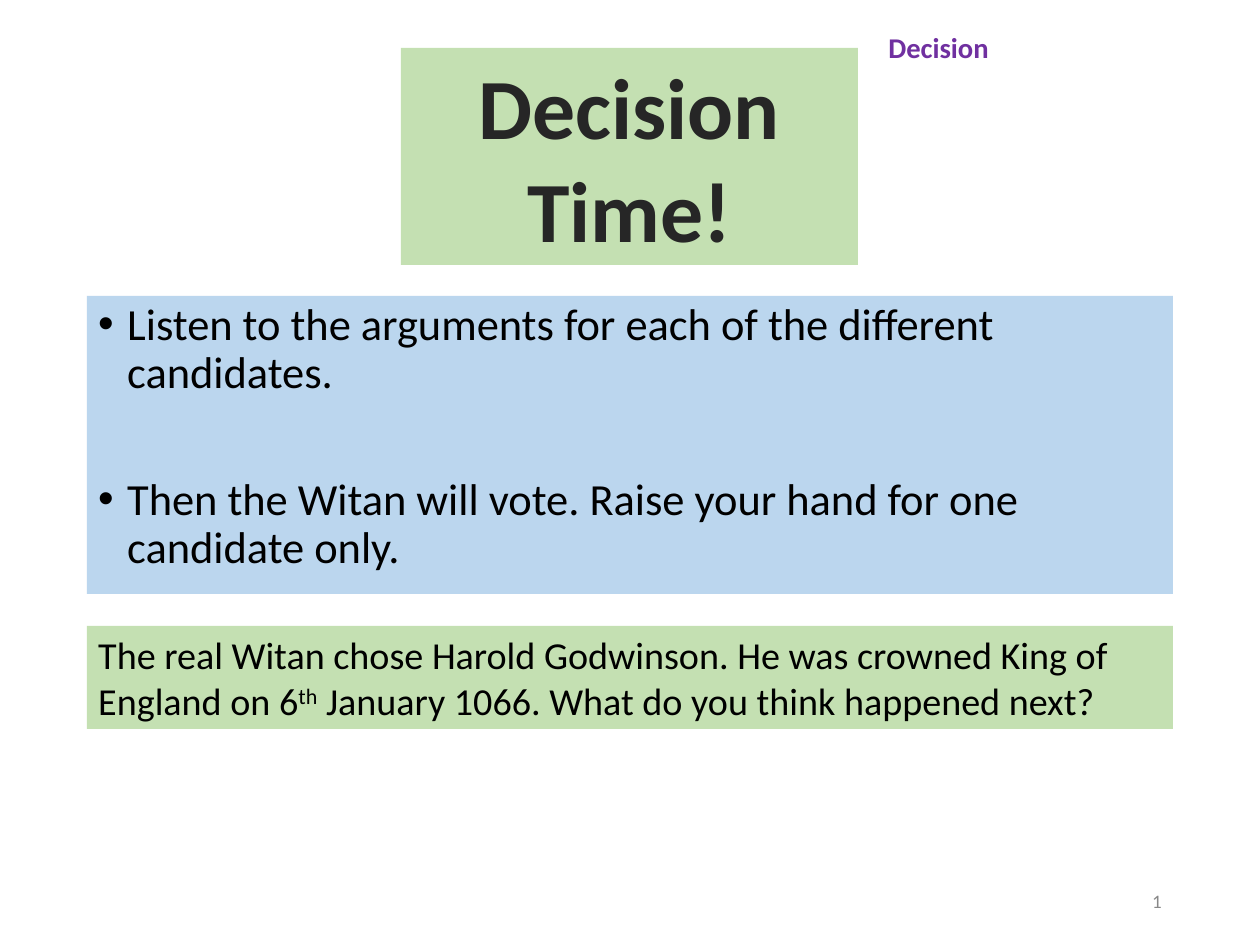
from dataclasses import dataclass
from typing import Optional

from lxml import etree
from pptx import Presentation
from pptx import util as u
from pptx.dml import color
from pptx.enum import shapes, text
from pptx.oxml import ns

PX = 8000
SLIDE_WIDTH, SLIDE_HEIGHT = 1260, 945


@dataclass(frozen=True)
class Theme:
    font: str = "Calibri"
    green: str = "C4E0B2"
    blue: str = "BBD6EE"
    black: str = "000000"
    charcoal: str = "262626"
    purple: str = "7030A0"
    grey: str = "888888"
    title: int = 54
    body: int = 28
    note: int = 24
    label: int = 18
    number: int = 12


THEME = Theme()


@dataclass(frozen=True)
class Panel:
    left: int
    top: int
    width: int
    height: int
    paragraphs: tuple[tuple[str, ...], ...]
    size: int
    ink: str
    fill: Optional[str] = None
    bold: bool = False
    align: text.PP_ALIGN = text.PP_ALIGN.LEFT
    anchor: text.MSO_ANCHOR = text.MSO_ANCHOR.TOP
    bulleted: bool = False


MARGIN = 87
CONTENT_WIDTH = SLIDE_WIDTH - 2 * MARGIN
BULLET_INDENT = 29
BULLET_GAP = 50

PANELS = (
    Panel(MARGIN, 296, CONTENT_WIDTH, 298,
          (("Listen to the arguments for each of the different candidates.",),
           ("Then the Witan will vote. Raise your hand for one candidate only.",)),
          THEME.body, THEME.black, THEME.blue, bulleted=True),
    Panel(890, 876, 283, 50, (("1",),), THEME.number, THEME.grey,
          align=text.PP_ALIGN.RIGHT, anchor=text.MSO_ANCHOR.MIDDLE),
    Panel(401, 48, 457, 217, (("Decision Time!",),), THEME.title, THEME.charcoal,
          THEME.green, bold=True, align=text.PP_ALIGN.CENTER),
    Panel(MARGIN, 626, CONTENT_WIDTH, 103,
          (("The real Witan chose Harold Godwinson. He was crowned King of England on 6",
            "th", " January 1066. What do you think happened next?"),),
          THEME.note, THEME.black, THEME.green),
    Panel(877, 24, 312, 46, (("Decision",),), THEME.label, THEME.purple, bold=True),
)


def add_bullet(p) -> None:
    p.line_spacing = 0.9
    pPr = p._p.get_or_add_pPr()
    pPr.set("marL", str(BULLET_INDENT * PX))
    pPr.set("indent", str(-BULLET_INDENT * PX))
    etree.SubElement(pPr, ns.qn("a:buFont"), typeface="Arial")
    etree.SubElement(pPr, ns.qn("a:buChar"), char="•")


def add_panel(slide, panel: Panel) -> None:
    box = [n * PX for n in (panel.left, panel.top, panel.width, panel.height)]
    if panel.fill:
        sp = slide.shapes.add_shape(shapes.MSO_SHAPE.RECTANGLE, *box)
        sp.shadow.inherit = False
        sp.fill.solid()
        sp.fill.fore_color.rgb = color.RGBColor.from_string(panel.fill)
        sp.line.fill.background()
    else:
        sp = slide.shapes.add_textbox(*box)
    tf = sp.text_frame
    tf.word_wrap = True
    tf.vertical_anchor = panel.anchor
    tf.text = "\n".join(parts[0] for parts in panel.paragraphs)
    for i, (p, parts) in enumerate(zip(tf.paragraphs, panel.paragraphs)):
        p.alignment = panel.align
        if i:
            p.space_before = u.Pt(BULLET_GAP)
        if panel.bulleted:
            add_bullet(p)
        for part in parts[1:]:
            p.add_run().text = part
        for r in p.runs:
            r.font.name = THEME.font
            r.font.size = u.Pt(panel.size)
            r.font.bold = panel.bold
            r.font.color.rgb = color.RGBColor.from_string(panel.ink)
            if r.text == "th":
                r.font._element.set("baseline", "30000")


def main() -> None:
    prs = Presentation()
    prs.slide_width, prs.slide_height = SLIDE_WIDTH * PX, SLIDE_HEIGHT * PX
    s = prs.slides.add_slide(prs.slide_layouts[6])
    for panel in PANELS:
        add_panel(s, panel)
    prs.save("out.pptx")


if __name__ == "__main__":
    main()
